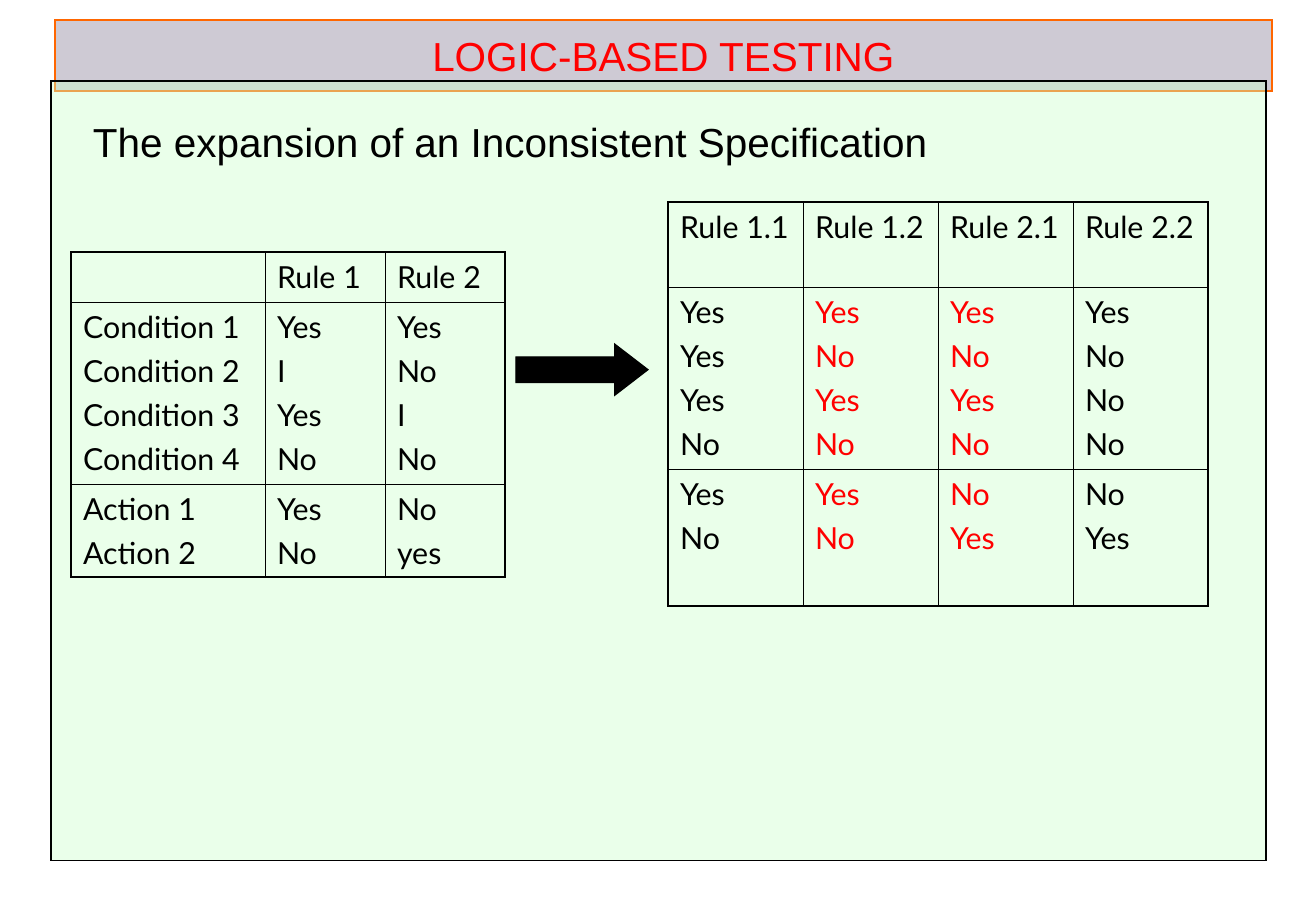
from lxml import etree
from pptx import Presentation
from pptx.dml.color import RGBColor
from pptx.enum.shapes import MSO_SHAPE
from pptx.enum.text import MSO_ANCHOR, PP_ALIGN
from pptx.oxml.ns import qn
from pptx.util import Emu, Inches, Pt

RECT, ARROW = MSO_SHAPE.RECTANGLE, MSO_SHAPE.RIGHT_ARROW
LEFT, CENTER, JUSTIFY = PP_ALIGN.LEFT, PP_ALIGN.CENTER, PP_ALIGN.JUSTIFY
MIDDLE = MSO_ANCHOR.MIDDLE

EMU_PER_PX = 7532
TITLE_ONLY = 5
BLACK, RED = "000000", "FF0000"
THIN, THICK = 0.45, 1.08

SPECIFICATION = [
    ["", "Rule 1", "Rule 2"],
    ["Condition 1\nCondition 2\nCondition 3\nCondition 4",
     "Yes\nI\nYes\nNo", "Yes\nNo\nI\nNo"],
    ["Action 1\nAction 2", "Yes\nNo", "No\nyes"],
]
EXPANSION = [
    ["Rule 1.1", "Rule 1.2", "Rule 2.1", "Rule 2.2"],
    ["Yes\nYes\nYes\nNo", "Yes\nNo\nYes\nNo", "Yes\nNo\nYes\nNo", "Yes\nNo\nNo\nNo"],
    ["Yes\nNo", "Yes\nNo", "No\nYes", "No\nYes"],
]
INCONSISTENT_COLUMNS = (1, 2)


def px(n):
    return Emu(n * EMU_PER_PX)


def rgb(color):
    return RGBColor.from_string(color)


def write(tf, text, font="Arial", size=24, color=BLACK, align=LEFT, gap=0):
    """Put each line of text in its own paragraph, gap points apart."""
    for i, line in enumerate(text.split("\n")):
        p = tf.add_paragraph() if i else tf.paragraphs[0]
        p.alignment = align
        p.space_before = Pt(gap if i else 0)
        r = p.add_run()
        r.text = line
        r.font.name, r.font.size = font, Pt(size)
        r.font.color.rgb = rgb(color)


def set_borders(cell, **widths):
    tc_pr = cell._tc.get_or_add_tcPr()
    for side, width in widths.items():
        ln = etree.SubElement(tc_pr, qn("a:ln" + side), w=str(int(Pt(width))))
        fill = etree.SubElement(ln, qn("a:solidFill"))
        etree.SubElement(fill, qn("a:srgbClr"), val=BLACK)


class SlideBuilder:
    def __init__(self, slide):
        self.slide = slide

    def paint(self, sp, fill, line, alpha=None):
        sp.fill.solid()
        sp.fill.fore_color.rgb = rgb(fill)
        if alpha:
            clr = sp._element.spPr.find(qn("a:solidFill")).find(qn("a:srgbClr"))
            etree.SubElement(clr, qn("a:alpha"), val=str(alpha * 1000))
        sp.line.color.rgb = rgb(line)
        sp.line.width = Pt(0.75)
        etree.SubElement(sp.line._get_or_add_ln(), qn("a:miter"), lim="800000")

    def title(self, text, x, y, w, h):
        sp = self.slide.shapes.title
        sp.left, sp.top, sp.width, sp.height = map(px, (x, y, w, h))
        self.paint(sp, "CECAD4", "FF6600")
        sp.text_frame.vertical_anchor = MIDDLE
        write(sp.text_frame, text, color=RED, align=CENTER)

    def shape(self, kind, x, y, w, h, fill, alpha=None):
        sp = self.slide.shapes.add_shape(kind, *map(px, (x, y, w, h)))
        sp.shadow.inherit = False
        self.paint(sp, fill, BLACK, alpha)
        return sp

    def textbox(self, text, x, y, w, h):
        tf = self.slide.shapes.add_textbox(*map(px, (x, y, w, h))).text_frame
        tf.word_wrap = True
        tf.vertical_anchor = MIDDLE
        write(tf, text)

    def table(self, rows, x, y, widths, heights, red_columns=()):
        """Draw a decision table with a thick frame and thin inner lines."""
        last_row, last_col = len(heights) - 1, len(widths) - 1
        size = map(px, (x, y, sum(widths), sum(heights)))
        table = self.slide.shapes.add_table(len(heights), len(widths), *size).table
        table.first_row = table.horz_banding = False
        for column, width in zip(table.columns, widths):
            column.width = px(width)
        for row, height in zip(table.rows, heights):
            row.height = px(height)
        for i, row in enumerate(rows):
            for j, text in enumerate(row):
                cell = table.cell(i, j)
                set_borders(cell,
                            L=THIN if j else THICK,
                            R=THICK if j == last_col else THIN,
                            T=THIN if i else THICK,
                            B=THICK if i == last_row else THIN)
                cell.fill.background()
                if text:
                    write(cell.text_frame, text, font="Lato", size=18,
                          color=RED if i and j in red_columns else BLACK,
                          align=JUSTIFY, gap=4.5)


def main():
    prs = Presentation()
    prs.slide_width, prs.slide_height = Inches(10.84), Inches(7.5)
    s = SlideBuilder(prs.slides.add_slide(prs.slide_layouts[TITLE_ONLY]))

    s.title("LOGIC-BASED TESTING", 55, 20, 1217, 71)
    s.shape(RECT, 51, 81, 1215, 779, "CCFFCC", alpha=40)
    s.textbox("The expansion of an Inconsistent Specification", 81, 111, 1117, 61)
    s.table(SPECIFICATION, 71, 252, [194, 120, 120], [50, 182, 93])
    s.table(EXPANSION, 668, 202, [135] * 4, [85, 182, 137], INCONSISTENT_COLUMNS)
    arrow = s.shape(ARROW, 516, 344, 132, 51, BLACK)
    arrow.adjustments[0], arrow.adjustments[1] = 0.5, 0.65

    prs.save("out.pptx")


if __name__ == "__main__":
    main()
